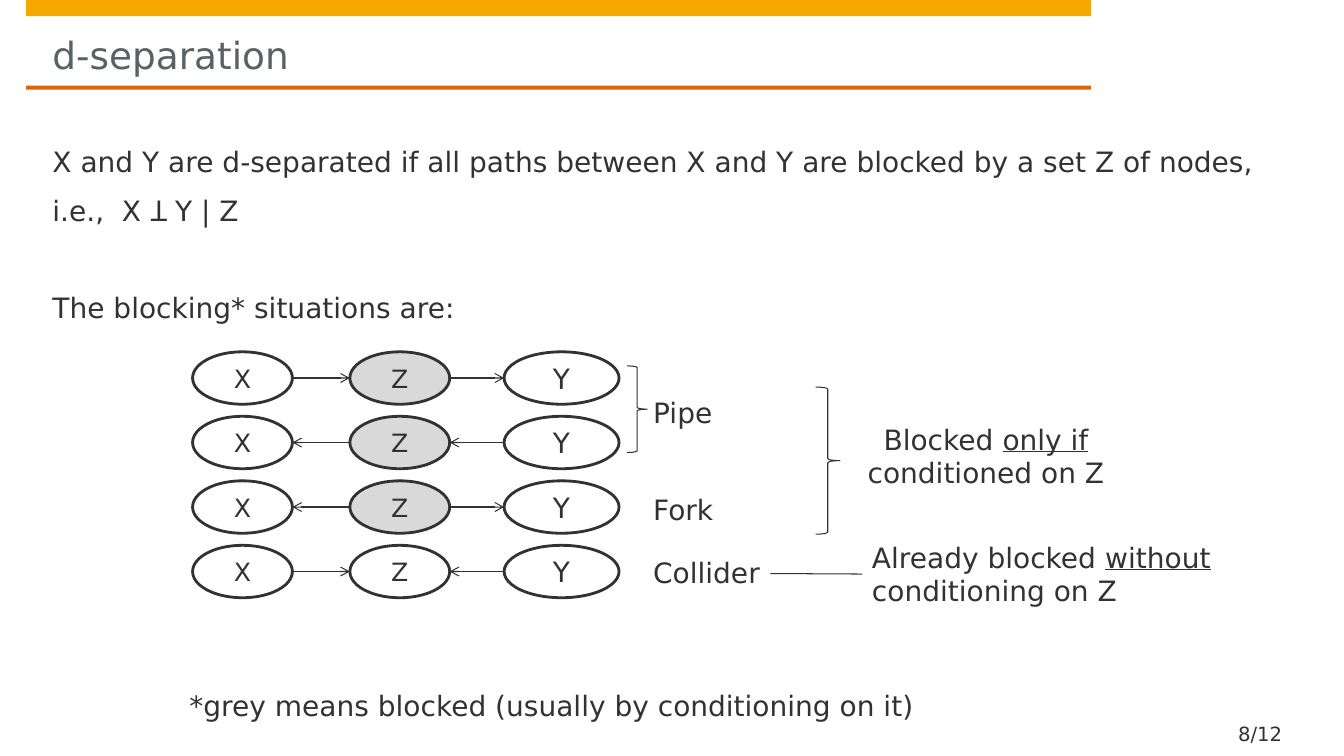
from lxml.etree import SubElement
from pptx import Presentation
from pptx.dml.color import RGBColor
from pptx.enum.shapes import MSO_CONNECTOR, MSO_SHAPE
from pptx.enum.text import MSO_ANCHOR, MSO_AUTO_SIZE, PP_ALIGN
from pptx.oxml.ns import qn
from pptx.util import Inches, Pt

AMBER = RGBColor(0xF6, 0xA8, 0x00)
ORANGE = RGBColor(0xDD, 0x64, 0x0C)
INK = RGBColor(0x32, 0x32, 0x32)
SLATE = RGBColor(0x5A, 0x61, 0x66)
GREY = RGBColor(0xD9, 0xD9, 0xD9)
WHITE = RGBColor(0xFF, 0xFF, 0xFF)

LABEL = {"auto_size": MSO_AUTO_SIZE.SHAPE_TO_FIT_TEXT}
FLUSH = {"margin_left": 0, "margin_top": 0, "margin_right": 0, "margin_bottom": 0}
BODY_LINE = {"line_spacing": Pt(26.7), "space_before": Pt(4), "space_after": Pt(4)}
CENTERED = {"alignment": PP_ALIGN.CENTER}


def apply(target, values):
    for name, value in values.items():
        setattr(target, name, value)


class Deck:
    font = "DejaVu Sans"
    ink = INK
    thin = Pt(0.75)
    thick = Pt(2)

    def __init__(self, prs):
        self.slide = prs.slides.add_slide(prs.slide_layouts[6])

    def add_runs(self, p, runs, size, color):
        for text, underline in runs:
            r = p.add_run()
            r.text = text
            apply(r.font, {"name": self.font, "size": Pt(size)})
            r.font.color.rgb = color
            if underline:
                r.font.underline = True

    def text(self, box, paragraphs, size=20, color=INK, frame=LABEL):
        sp = self.slide.shapes.add_textbox(*map(Inches, box))
        tf = sp.text_frame
        apply(tf, {"word_wrap": True, **frame})
        for i, (runs, layout) in enumerate(paragraphs):
            p = tf.add_paragraph() if i else tf.paragraphs[0]
            apply(p, layout)
            self.add_runs(p, runs, size, color)
        return sp

    def shape(self, kind, box, fill=None, line=None):
        sp = self.slide.shapes.add_shape(kind, *map(Inches, box))
        sp.shadow.inherit = False
        if fill is None:
            sp.fill.background()
        else:
            sp.fill.solid()
            sp.fill.fore_color.rgb = fill
        if line is None:
            sp.line.fill.background()
        else:
            sp.line.color.rgb = self.ink
            sp.line.width = line
        return sp

    def bar(self, box, fill):
        return self.shape(MSO_SHAPE.RECTANGLE, box, fill)

    def brace(self, box):
        return self.shape(MSO_SHAPE.RIGHT_BRACE, box, line=self.thin)

    def node(self, box, name, size, fill):
        sp = self.shape(MSO_SHAPE.OVAL, box, fill, self.thick)
        tf = sp.text_frame
        tf.vertical_anchor = MSO_ANCHOR.MIDDLE
        p = tf.paragraphs[0]
        apply(p, CENTERED)
        self.add_runs(p, [(name, False)], size, self.ink)
        return sp

    def line(self, x1, x2, y, arrow=None):
        ends = map(Inches, (x1, y, x2, y))
        cxn = self.slide.shapes.add_connector(MSO_CONNECTOR.STRAIGHT, *ends)
        cxn.line.color.rgb = self.ink
        cxn.line.width = self.thin
        props = cxn.element.spPr
        if arrow:
            SubElement(props.get_or_add_ln(), qn(arrow), type="arrow")
        SubElement(props, qn("a:effectLst"))
        return cxn


def main():
    prs = Presentation()
    apply(prs, {"slide_width": Inches(13.33), "slide_height": Inches(7.5)})
    s = Deck(prs)

    s.bar((0.26, 0, 10.56, 0.16), AMBER)
    s.bar((0.26, 0.85, 10.56, 0.04), ORANGE)
    s.text((12.16, 7.12, 0.91, 0.28), [([("8/12", False)], {})], 14,
           frame={**FLUSH, "margin_left": Inches(0.12),
                  "vertical_anchor": MSO_ANCHOR.BOTTOM})
    s.text((0.52, 0.16, 10.03, 0.61), [([("d-separation", False)], {})], 26.7, SLATE,
           {**FLUSH, **LABEL, "margin_top": Inches(0.16)})

    definition = ("X and Y are d-separated if all paths between X and Y "
                  "are blocked by a set Z of nodes,")
    s.text((0.52, 1.4, 12.55, 5.6), [
        ([(definition, False)], BODY_LINE),
        ([("i.e.,  X ꓕ Y | Z", False)], BODY_LINE),
        ([("The blocking* situations are:", False)],
         {**BODY_LINE, "space_before": Pt(38.7)}),
    ], frame=FLUSH)

    columns = [("X", 1.91, 0.99, 18), ("Z", 3.47, 0.99, 18), ("Y", 5, 1.14, 20)]
    gaps = [(2.9, 3.47), (4.46, 5)]
    top, pitch, height = 3.49, 0.64, 0.52
    left, right = "a:headEnd", "a:tailEnd"
    paths = [((right, right), GREY), ((left, left), GREY),
             ((left, right), GREY), ((right, left), WHITE)]
    for row, (arrows, z_fill) in enumerate(paths):
        y = top + row * pitch
        for name, x, width, size in columns:
            s.node((x, y, width, height), name, size, z_fill if name == "Z" else WHITE)
        for (x1, x2), arrow in zip(gaps, arrows):
            s.line(x1, x2, y + height / 2, arrow)

    for name, y, width in [("Pipe", 3.87, 0.99), ("Fork", 4.84, 0.99),
                           ("Collider", 5.46, 1.77)]:
        s.text((6.38, y, width, 0.44), [([(name, False)], {})])

    s.text((8.41, 4.14, 2.74, 0.77), [
        ([("Blocked ", False), ("only if ", True), ("conditioned on Z", False)], CENTERED)])
    already = s.text((8.55, 5.31, 4.02, 0.77), [
        ([("Already blocked ", False), ("without", True), (" conditioning on Z", False)], {})])
    s.brace((6.22, 3.63, 0.2, 0.86))
    s.brace((8.09, 3.84, 0.24, 1.46))
    s.line(7.64, 8.55, 5.69).end_connect(already, 1)
    s.text((1.78, 6.78, 8.36, 0.44), [
        ([("*grey means blocked (usually by conditioning on it)", False)], {})])

    prs.save("out.pptx")


if __name__ == "__main__":
    main()
